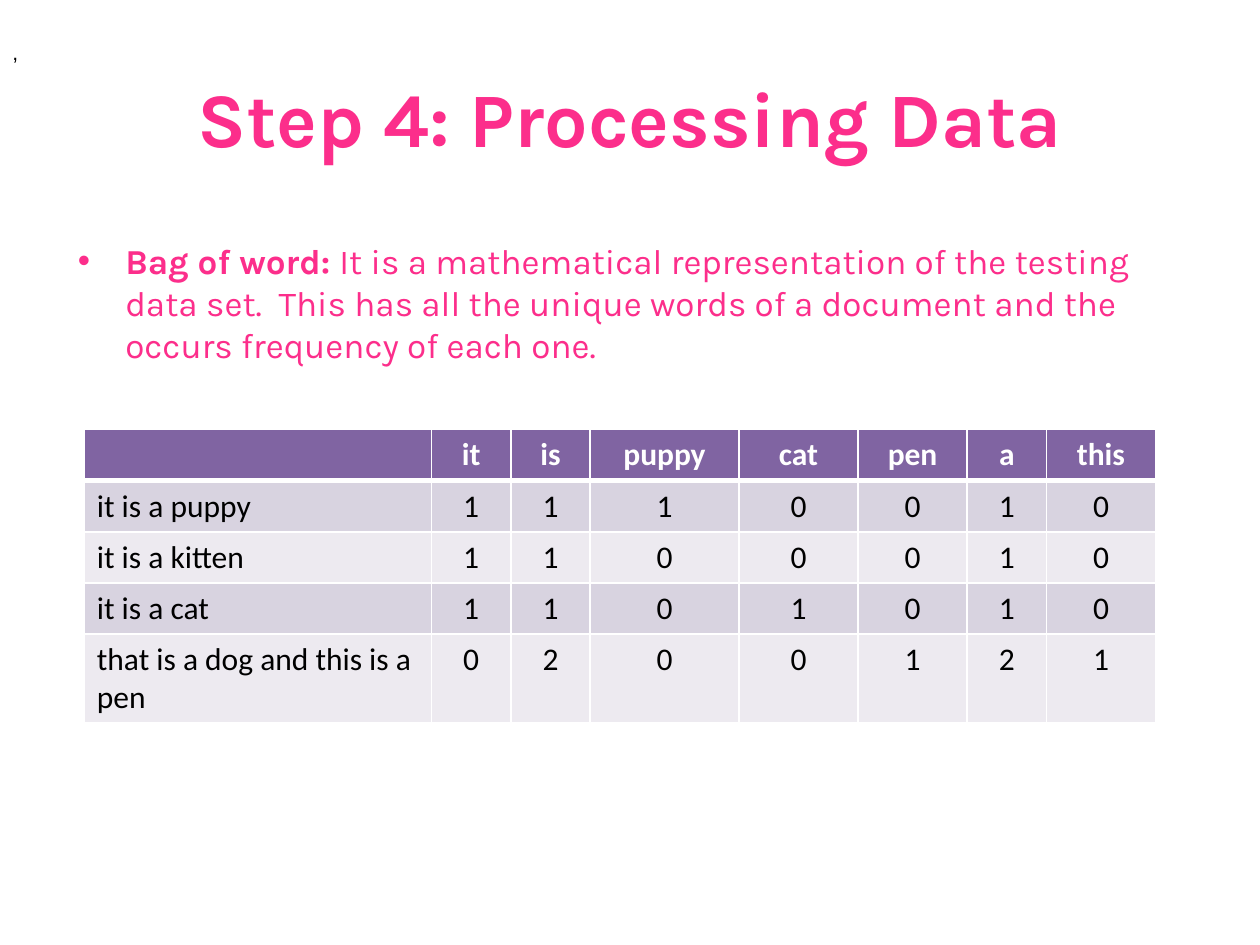
import pptx
import pptx.util
import pptx.dml.color
import pptx.enum.text
import pptx.oxml
import pptx.oxml.ns

Pt = pptx.util.Pt
Align = pptx.enum.text.PP_ALIGN
Anchor = pptx.enum.text.MSO_ANCHOR
Fit = pptx.enum.text.MSO_AUTO_SIZE
HUES = {"pink": "FC2E8B", "head": "8064A2", "odd": "D8D3E0",
        "even": "EDEAF0", "white": "FFFFFF", "black": "000000"}
WORDS = ["it", "is", "puppy", "cat", "pen", "a", "this"]
COUNTS = {
    "it is a puppy": [1, 1, 1, 0, 0, 1, 0],
    "it is a kitten": [1, 1, 0, 0, 0, 1, 0],
    "it is a cat": [1, 1, 0, 1, 0, 1, 0],
    "that is a dog and this is a pen": [0, 2, 0, 0, 1, 2, 1],
}
WIDTHS = [198.4, 45.35, 45.35, 85.05, 68.05, 62.35, 45.35, 62.35]


def hue(name):
    return pptx.dml.color.RGBColor.from_string(HUES[name])


def style(para, size, face, color, bold=False):
    font = para.font
    font.size, font.name, font.bold = Pt(size), face, bold
    font.color.rgb = hue(color)


def add_text(slide, box, wrap=True, anchor=Anchor.TOP):
    frame = slide.shapes.add_textbox(*map(Pt, box)).text_frame
    frame.word_wrap = wrap
    frame.vertical_anchor = anchor
    return frame


def add_title(slide, box):
    para = add_text(slide, box, anchor=Anchor.MIDDLE).paragraphs[0]
    para.text = "Step 4: Processing Data"
    para.alignment = Align.CENTER
    style(para, 44, "Karla", "pink", True)


def add_mark(slide, box):
    frame = add_text(slide, box, False, Anchor.MIDDLE)
    frame.auto_size = Fit.SHAPE_TO_FIT_TEXT
    para = frame.paragraphs[0]
    para.text = ","
    style(para, 12, "Arial", "black")


def add_body(slide, box):
    para = add_text(slide, box).paragraphs[0]
    lead = para.add_run()
    lead.text = "Bag of word: "
    lead.font.bold = True
    para.add_run().text = (
        "It is a mathematical representation of the testing data set.  "
        "This has all the unique words of a document and the occurs "
        "frequency of each one.")
    style(para, 20, "Karla", "pink")
    para.space_before = Pt(4)
    props = para._p.get_or_add_pPr()
    props.set("marL", str(Pt(27)))
    props.set("indent", str(-Pt(27)))
    ns = pptx.oxml.ns.nsdecls("a")
    spot = props.find(pptx.oxml.ns.qn("a:defRPr"))
    for xml in (f'<a:buFont {ns} typeface="Arial"/>',
                f'<a:buChar {ns} char="•"/>'):
        spot.addprevious(pptx.oxml.parse_xml(xml))


def add_edges(cell, base):
    props = cell._tc.get_or_add_tcPr()
    ns = pptx.oxml.ns.nsdecls("a")
    for spot, (side, width) in enumerate(
            [("L", 1), ("R", 1), ("T", 1), ("B", base)]):
        props.insert(spot, pptx.oxml.parse_xml(
            f'<a:ln{side} {ns} w="{Pt(width)}"><a:solidFill>'
            f'<a:srgbClr val="{HUES["white"]}"/></a:solidFill></a:ln{side}>'))


def add_counts(slide, box):
    data = [["", *WORDS]] + [[name, *nums] for name, nums in COUNTS.items()]
    table = slide.shapes.add_table(
        len(data), len(WIDTHS), *map(Pt, box)).table
    for col, width in zip(table.columns, WIDTHS):
        col.width = Pt(width)
    for r, line in enumerate(data):
        table.rows[r].height = Pt(29.2)
        fill = "head" if r == 0 else "odd" if r % 2 else "even"
        for c, value in enumerate(line):
            cell = table.cell(r, c)
            cell.fill.solid()
            cell.fill.fore_color.rgb = hue(fill)
            add_edges(cell, 1 if r else 3)
            para = cell.text_frame.paragraphs[0]
            para.text = str(value)
            para.alignment = Align.CENTER if c else Align.LEFT
            style(para, 18, "Calibri", "black" if r else "white", r == 0)


def main():
    deck = pptx.Presentation()
    deck.slide_width, deck.slide_height = Pt(720), Pt(540)
    slide = deck.slides.add_slide(deck.slide_layouts[6])
    add_title(slide, (36, 21.6, 648, 90))
    add_mark(slide, (0, 30, 720, 0))
    add_body(slide, (37.5, 133.2, 648, 90.7))
    add_counts(slide, (48.2, 245.5, sum(WIDTHS), 167))
    deck.save("out.pptx")


if __name__ == "__main__":
    main()
